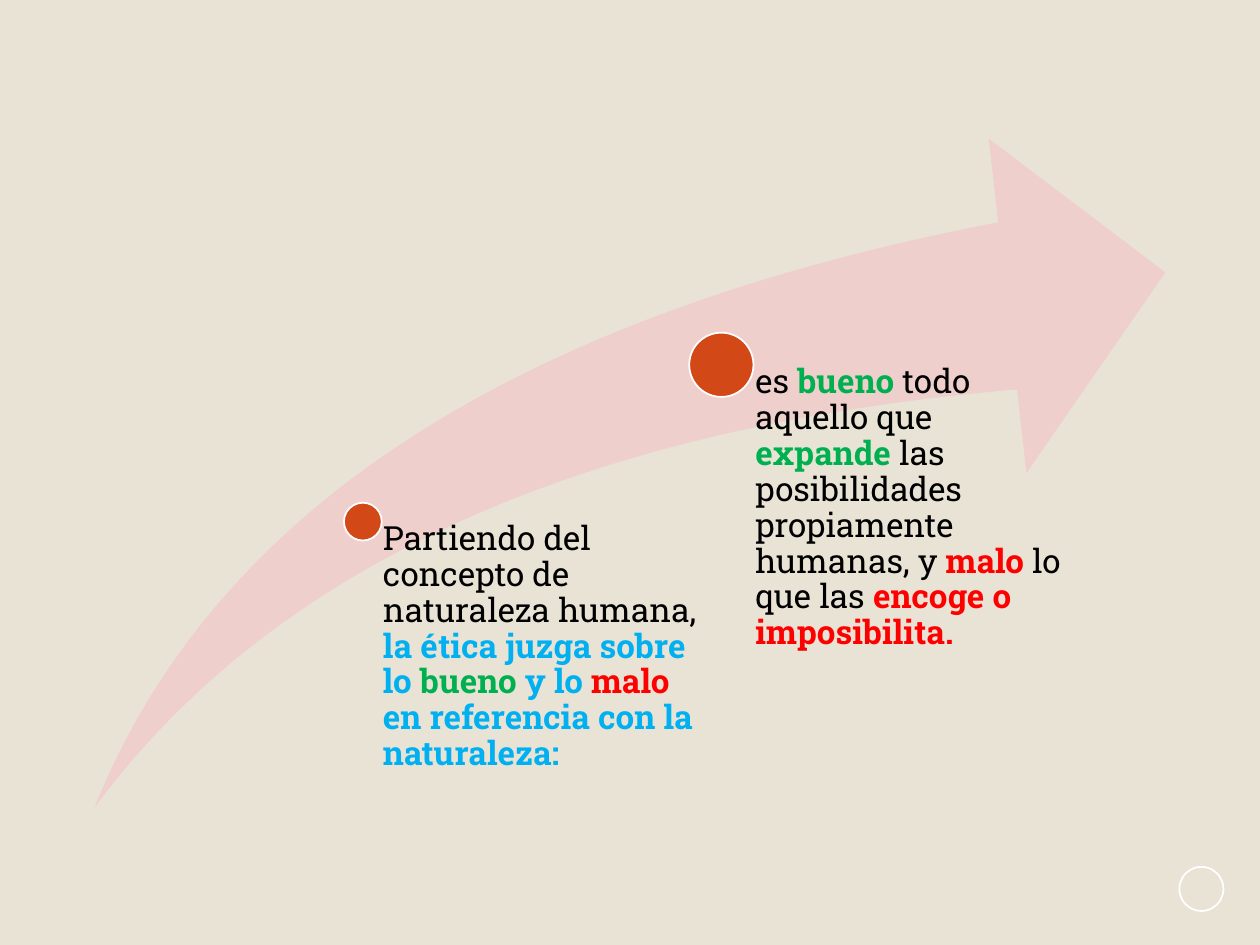
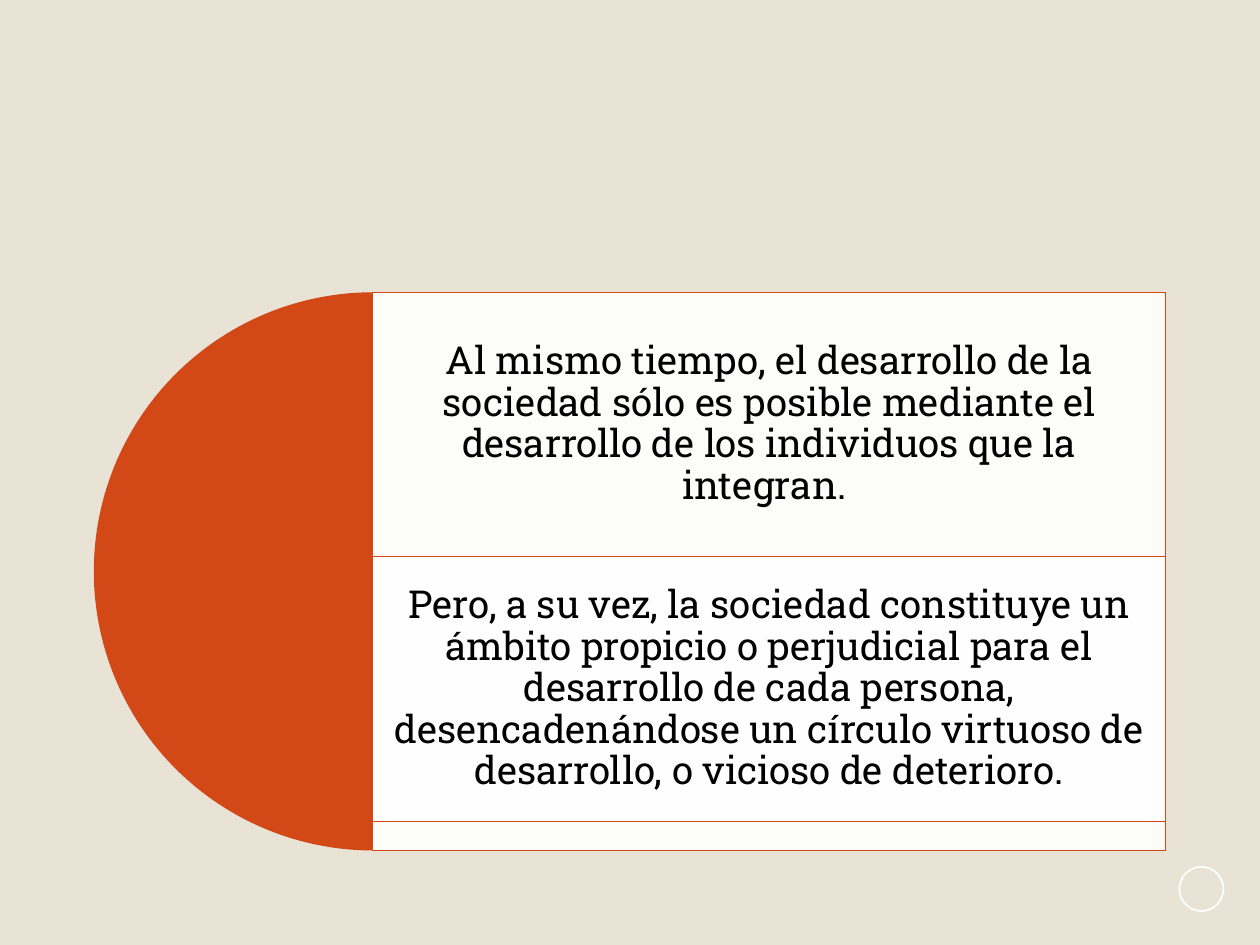
from pptx import Presentation
from pptx.dml.color import RGBColor
from pptx.enum.shapes import MSO_SHAPE
from pptx.enum.text import MSO_ANCHOR, PP_ALIGN
from pptx.oxml.ns import qn
from pptx.util import Inches, Pt
from lxml.etree import SubElement

FONT = "Roboto Slab"
SAND, ORANGE, PINK, WHITE = "E9E3D6", "D34817", "EFCFCC", "FFFFFF"
BLACK, BLUE, GREEN, RED = "000000", "00B0F0", "00B050", "FF0000"

ETHICS = [("Partiendo del concepto de naturaleza humana, ", BLACK),
          ("la ética juzga sobre lo ", BLUE), ("bueno ", GREEN),
          ("y lo ", BLUE), ("malo ", RED),
          ("en referencia con la naturaleza:", BLUE)]
GOOD_AND_BAD = [("es ", BLACK), ("bueno ", GREEN), ("todo aquello que ", BLACK),
                ("expande ", GREEN),
                ("las posibilidades propiamente humanas, y ", BLACK),
                ("malo ", RED), ("lo que las ", BLACK),
                ("encoge o imposibilita.", RED)]
SOCIETY = [
    "Al mismo tiempo, el desarrollo de la sociedad sólo es posible mediante "
    "el desarrollo de los individuos que la integran. ",
    "Pero, a su vez, la sociedad constituye un ámbito propicio o perjudicial "
    "para el desarrollo de cada persona, desencadenándose un círculo virtuoso "
    "de desarrollo, o vicioso de deterioro.",
]


def rgb(color):
    return RGBColor.from_string(color)


def add_shape(s, kind, x, y, w, h, fill=None, line=None, width=1, alpha=None, adj=()):
    sp = s.shapes.add_shape(kind, Inches(x), Inches(y), Inches(w), Inches(h))
    sp.shadow.inherit = False
    for i, value in enumerate(adj):
        sp.adjustments[i] = value
    if fill:
        sp.fill.solid()
        sp.fill.fore_color.rgb = rgb(fill)
    else:
        sp.fill.background()
    if alpha:
        clr = sp._element.spPr.find(qn("a:solidFill"))[0]
        SubElement(clr, qn("a:alpha"), val=str(alpha * 1000))
    if line:
        sp.line.color.rgb = rgb(line)
        sp.line.width = Pt(width)
    else:
        sp.line.fill.background()
    return sp


def add_text(s, runs, x, y, w, h, size, insets, align=PP_ALIGN.LEFT, anchor=MSO_ANCHOR.TOP):
    tf = s.shapes.add_textbox(Inches(x), Inches(y), Inches(w), Inches(h)).text_frame
    tf.word_wrap = True
    tf.vertical_anchor = anchor
    tf.margin_left, tf.margin_top, tf.margin_right, tf.margin_bottom = map(Inches, insets)
    p = tf.paragraphs[0]
    p.alignment = align
    p.line_spacing = 0.9
    for text, color in runs:
        r = p.add_run()
        r.text = text
        r.font.name = FONT
        r.font.size = Pt(size)
        r.font.bold = color != BLACK
        r.font.color.rgb = rgb(color)


def add_slide(prs):
    s = prs.slides.add_slide(prs.slide_layouts[6])
    s.background.fill.solid()
    s.background.fill.fore_color.rgb = rgb(SAND)
    add_shape(s, MSO_SHAPE.OVAL, 9.36, 6.88, 0.35, 0.35, line=WHITE)
    return s


def add_milestone(s, runs, x, y, size, inset):
    add_shape(s, MSO_SHAPE.OVAL, x, y, size, size, ORANGE, WHITE)
    left, top = x + size / 2, y + size / 2
    add_text(s, runs, left, top, 2.76, 6.41 - top, 19, (inset, 0, 0, 0))


def add_band(s, text, y, size):
    center, row_height = 2.96, 2.1
    add_shape(s, MSO_SHAPE.PIE, center - size / 2, y, size, size, ORANGE, adj=(54, 162))
    add_shape(s, MSO_SHAPE.RECTANGLE, center, y, 6.29, size, WHITE, ORANGE, 0.5, alpha=90)
    add_text(s, [(text, BLACK)], center, y, 6.29, row_height, 22, [0.09] * 4,
             PP_ALIGN.CENTER, MSO_ANCHOR.MIDDLE)


def main():
    prs = Presentation()
    prs.slide_width, prs.slide_height = Inches(10), Inches(7.5)

    s = add_slide(prs)
    add_shape(s, MSO_SHAPE.SWOOSH_ARROW, 0.75, 1.1, 8.5, 5.31, PINK, adj=(0.25, 0.25))
    add_milestone(s, ETHICS, 2.73, 3.99, 0.3, 0.16)
    add_milestone(s, GOOD_AND_BAD, 5.47, 2.64, 0.51, 0.27)

    s = add_slide(prs)
    for text, y, size in zip(SOCIETY, (2.32, 4.42), (4.43, 2.1)):
        add_band(s, text, y, size)

    prs.save("out.pptx")


if __name__ == "__main__":
    main()
